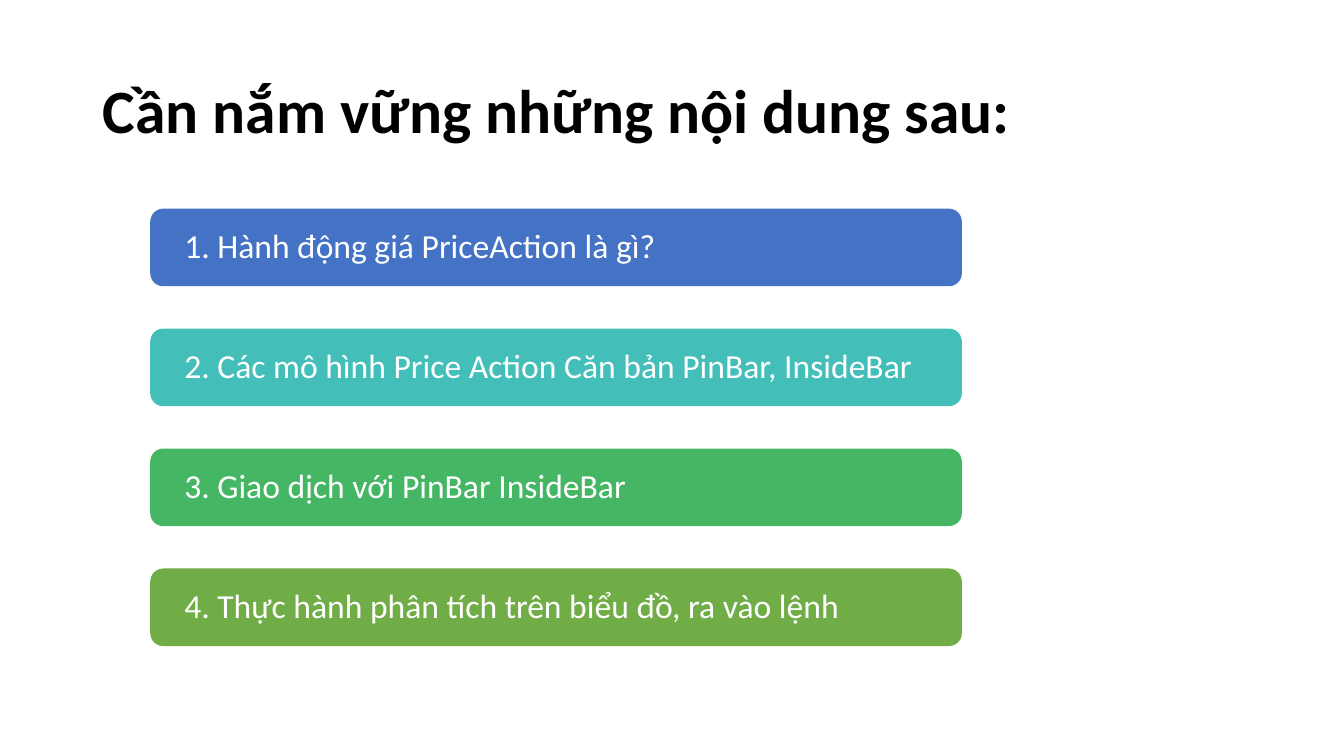
"""Build the agenda slide: a title above four coloured topic bars."""
from pptx import Presentation
from pptx.dml.color import RGBColor
from pptx.enum.shapes import MSO_SHAPE
from pptx.enum.text import MSO_ANCHOR, MSO_AUTO_SIZE, PP_ALIGN
from pptx.util import Inches, Pt


def rgb(value):
    return RGBColor.from_string(value)


def write(sp, text, size, color, bold=False, inset=0.1):
    tf = sp.text_frame
    tf.word_wrap = True
    tf.auto_size = MSO_AUTO_SIZE.NONE
    tf.vertical_anchor = MSO_ANCHOR.MIDDLE
    tf.margin_left = tf.margin_right = Inches(inset)
    p = tf.paragraphs[0]
    p.alignment = PP_ALIGN.LEFT
    p.line_spacing = 0.9
    r = p.add_run()
    r.text = text
    r.font.name = "Calibri"
    r.font.size = Pt(size)
    r.font.bold = bold
    r.font.color.rgb = rgb(color)


prs = Presentation()
prs.slide_width, prs.slide_height = Inches(13.33), Inches(7.5)
s = prs.slides.add_slide(prs.slide_layouts[5])

title = s.shapes.title
title.left, title.top = Inches(0.92), Inches(0.4)
title.width, title.height = Inches(11.5), Inches(1.45)
write(title, "Cần nắm vững những nội dung sau:", 44, "000000", bold=True)

topics = [
    ("1. Hành động giá PriceAction là gì?", "4472C4"),
    ("2. Các mô hình Price Action Căn bản PinBar, InsideBar", "43BEB9"),
    ("3. Giao dịch với PinBar InsideBar", "45B664"),
    ("4. Thực hành phân tích trên biểu đồ, ra vào lệnh", "70AD47"),
]
left, top, width, height, pitch = 1.49, 2.07, 8.05, 0.77, 1.19

for row, (text, color) in enumerate(topics):
    bar = s.shapes.add_shape(
        MSO_SHAPE.ROUNDED_RECTANGLE,
        Inches(left), Inches(top + row * pitch), Inches(width), Inches(height),
    )
    bar.shadow.inherit = False
    bar.fill.solid()
    bar.fill.fore_color.rgb = rgb(color)
    bar.line.fill.background()
    write(bar, text, 24, "FFFFFF", inset=0.3)

prs.save("out.pptx")
